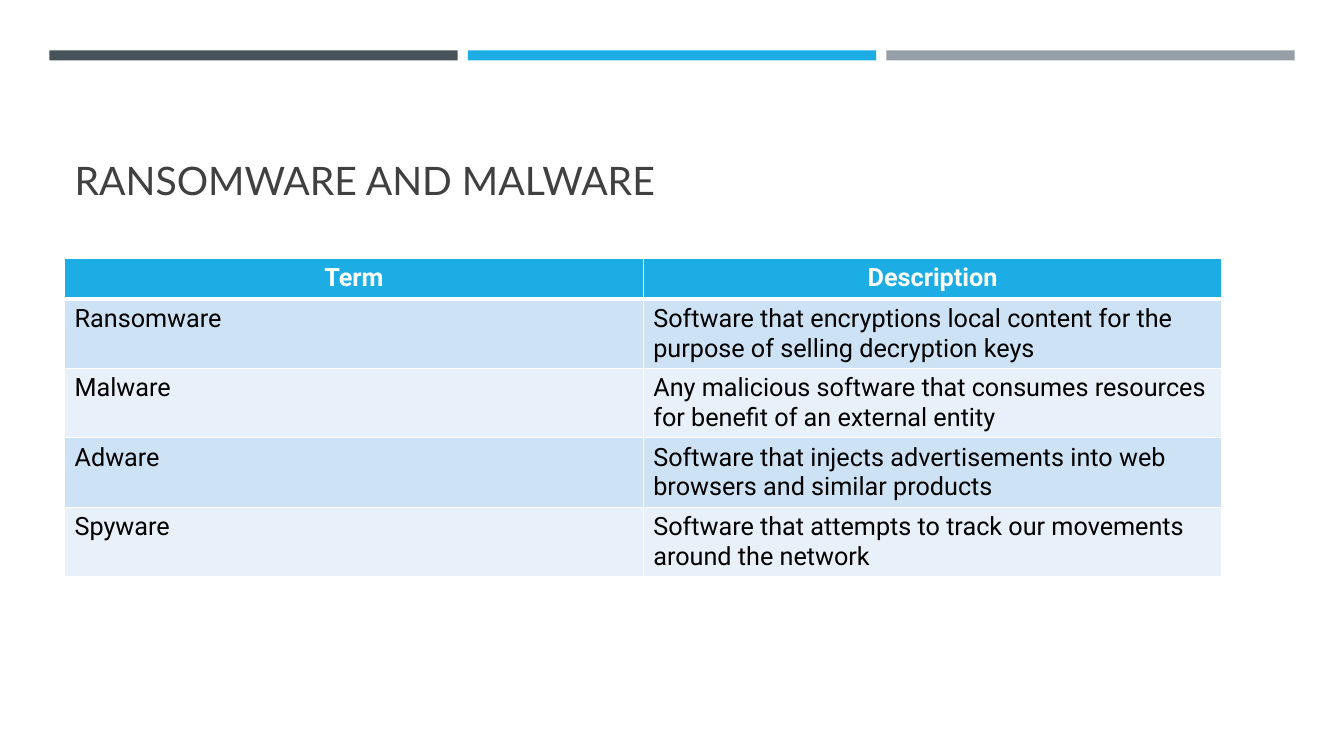
from lxml.etree import SubElement
from pptx import Presentation
from pptx.dml.color import RGBColor
from pptx.enum.shapes import MSO_SHAPE
from pptx.enum.text import MSO_ANCHOR, MSO_AUTO_SIZE, PP_ALIGN
from pptx.oxml.ns import qn
from pptx.util import Pt

SCALE = 9144  # EMU per px, 100 px to the inch

WHITE = RGBColor(0xFF, 0xFF, 0xFF)
BLACK = RGBColor(0x00, 0x00, 0x00)
CHARCOAL = RGBColor(0x40, 0x40, 0x40)
SLATE = RGBColor(0x46, 0x53, 0x59)
BLUE = RGBColor(0x1C, 0xAD, 0xE4)
GREY = RGBColor(0x96, 0x9F, 0xA7)
BAND_DARK = RGBColor(0xCD, 0xE3, 0xF5)
BAND_LIGHT = RGBColor(0xE8, 0xF1, 0xFA)

TERMS = [
    ("Term", "Description"),
    ("Ransomware", "Software that encryptions local content for the purpose of selling decryption keys"),
    ("Malware", "Any malicious software that consumes resources for benefit of an external entity"),
    ("Adware", "Software that injects advertisements into web browsers and similar products"),
    ("Spyware", "Software that attempts to track our movements around the network"),
]


def px(*lengths):
    return [n * SCALE for n in lengths]


class SlideBuilder:
    title_font = {"name": "Lato", "size": Pt(28), "bold": False}
    table_font = {"name": "Roboto", "size": Pt(18)}

    def __init__(self, prs):
        self.s = prs.slides.add_slide(prs.slide_layouts[5])

    def text(self, tf, words, align, color, **font):
        p = tf.paragraphs[0]
        p.alignment = align
        r = p.add_run()
        r.text = words
        for name, value in font.items():
            setattr(r.font, name, value)
        r.font.color.rgb = color

    def title(self, words, *box):
        sp = self.s.shapes.title
        sp.left, sp.top, sp.width, sp.height = px(*box)
        tf = sp.text_frame
        layout = {"vertical_anchor": MSO_ANCHOR.BOTTOM, "word_wrap": True,
                  "auto_size": MSO_AUTO_SIZE.NONE}
        for name, value in layout.items():
            setattr(tf, name, value)
        self.text(tf, words, PP_ALIGN.LEFT, CHARCOAL, **self.title_font)

    def bar(self, color, *box):
        sp = self.s.shapes.add_shape(MSO_SHAPE.RECTANGLE, *px(*box))
        sp.shadow.inherit = False
        sp.fill.solid()
        sp.fill.fore_color.rgb = color
        sp.line.fill.background()

    def borders(self, cell, top, bottom):
        tcPr = cell._tc.get_or_add_tcPr()
        for side, width in zip("LRTB", (1, 1, top, bottom)):
            ln = SubElement(tcPr, qn(f"a:ln{side}"), w=str(Pt(width)))
            fill = SubElement(ln, qn("a:solidFill"))
            SubElement(fill, qn("a:srgbClr"), val=str(WHITE))

    def table(self, rows, head_height, row_height, *box):
        frame = self.s.shapes.add_table(len(rows), len(rows[0]), *px(*box))
        table = frame.table
        for i, row in enumerate(rows):
            head = i == 0
            table.rows[i].height = px(head_height if head else row_height)[0]
            fill = BLUE if head else (BAND_LIGHT, BAND_DARK)[i % 2]
            for j, words in enumerate(row):
                cell = table.cell(i, j)
                # The rule under the header is thicker than the others
                self.borders(cell, 3 if i == 1 else 1, 3 if head else 1)
                cell.fill.solid()
                cell.fill.fore_color.rgb = fill
                self.text(cell.text_frame, words,
                          PP_ALIGN.CENTER if head else PP_ALIGN.LEFT,
                          WHITE if head else BLACK, bold=head, **self.table_font)


def main():
    prs = Presentation()
    prs.slide_width, prs.slide_height = px(1333, 750)
    slide = SlideBuilder(prs)

    # Colour bars across the top
    for i, color in enumerate((SLATE, BLUE, GREY)):
        slide.bar(color, 49 + 415 * i, 50, 405, 10)

    # Heading and table of terms
    slide.title("RANSOMWARE AND MALWARE", 64, 77, 1206, 130)
    slide.table(TERMS, 41, 68, 64, 256, 1148, 313)

    prs.save("out.pptx")


if __name__ == "__main__":
    main()
